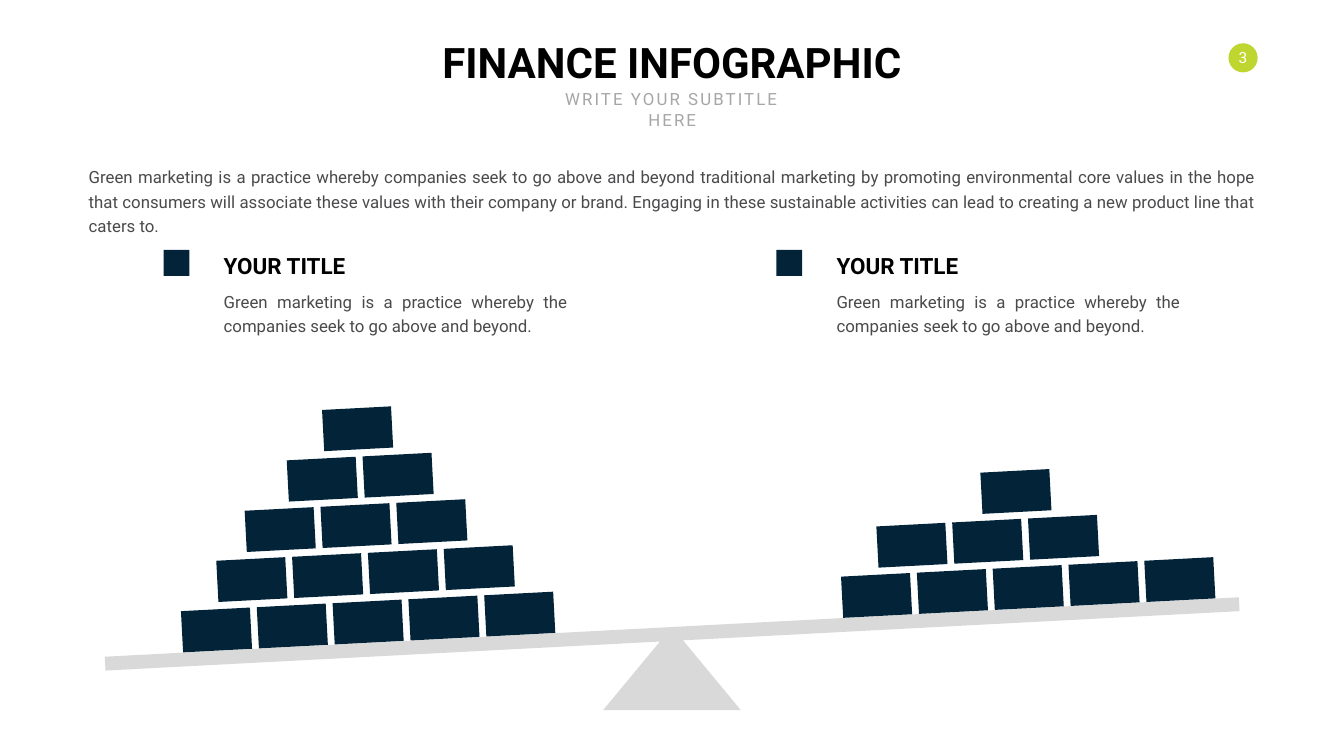
"""Build the finance infographic slide: two brick piles on a tilted seesaw."""
from dataclasses import dataclass
from math import radians, tan

from pptx import Presentation
from pptx.dml.color import RGBColor
from pptx.enum.shapes import MSO_SHAPE
from pptx.enum.text import MSO_ANCHOR, MSO_AUTO_SIZE, PP_ALIGN
from pptx.shapes.autoshape import Shape
from pptx.shapes.shapetree import GroupShapes, SlideShapes
from pptx.util import Cm, Pt

RECTANGLE, OVAL, TRIANGLE = MSO_SHAPE.RECTANGLE, MSO_SHAPE.OVAL, MSO_SHAPE.ISOSCELES_TRIANGLE
LEFT, CENTER, JUSTIFY = PP_ALIGN.LEFT, PP_ALIGN.CENTER, PP_ALIGN.JUSTIFY
TOP, MIDDLE = MSO_ANCHOR.TOP, MSO_ANCHOR.MIDDLE
FIXED_SIZE = MSO_AUTO_SIZE.NONE

NAVY = RGBColor(0x02, 0x23, 0x38)
LIME = RGBColor(0xBE, 0xD6, 0x2F)
SILVER = RGBColor(0xD9, 0xD9, 0xD9)
GRAY = RGBColor(0xA6, 0xA6, 0xA6)
CHARCOAL = RGBColor(0x4A, 0x4A, 0x4C)
BLACK = RGBColor(0x00, 0x00, 0x00)
WHITE = RGBColor(0xFF, 0xFF, 0xFF)

FONT = "Roboto"
TITLE_ONLY = 5
TILT = -3
BRICK_WIDTH, BRICK_HEIGHT, BRICK_STEP = 3.48, 2.08, 3.82
BRICK_RISE = BRICK_STEP * tan(radians(-TILT))
COLUMN_STEP = 30.88

INTRO = (
    "Green marketing is a practice whereby companies seek to go above and beyond "
    "traditional marketing by promoting environmental core values in the hope that "
    "consumers will associate these values with their company or brand. Engaging in "
    "these sustainable activities can lead to creating a new product line that caters to."
)
SUMMARY = "Green marketing is a practice whereby the companies seek to go above and beyond."


@dataclass(frozen=True)
class BrickRow:
    left: float
    top: float
    count: int


LEFT_PILE = [
    BrickRow(9.17, 30.71, 5),
    BrickRow(10.95, 28.17, 4),
    BrickRow(12.38, 25.65, 3),
    BrickRow(14.5, 23.11, 2),
    BrickRow(16.28, 20.57, 1),
]
RIGHT_PILE = [
    BrickRow(42.43, 28.97, 5),
    BrickRow(44.21, 26.44, 3),
    BrickRow(49.45, 23.73, 1),
]


def add_solid(shapes: SlideShapes | GroupShapes, preset: MSO_SHAPE, left: float, top: float,
              width: float, height: float, color: RGBColor, rotation: float = 0) -> Shape:
    """Add a borderless filled shape, measured in centimetres."""
    solid = shapes.add_shape(preset, Cm(left), Cm(top), Cm(width), Cm(height))
    solid.fill.solid()
    solid.fill.fore_color.rgb = color
    solid.line.fill.background()
    solid.shadow.inherit = False
    solid.rotation = rotation
    return solid


def write(box: Shape, text: str, *, size: float, color: RGBColor, bold: bool = False,
          align: PP_ALIGN = LEFT, anchor: MSO_ANCHOR = TOP, wrap: bool = True,
          line_points: float | None = None, tracking: float = 0) -> None:
    """Put one formatted paragraph into a shape."""
    frame = box.text_frame
    frame.word_wrap = wrap
    frame.auto_size = FIXED_SIZE
    frame.vertical_anchor = anchor
    para = frame.paragraphs[0]
    para.alignment = align
    if line_points:
        para.line_spacing = Pt(line_points)
    span = para.add_run()
    span.text = text
    span.font.name = FONT
    span.font.size = Pt(size)
    span.font.bold = bold
    span.font.color.rgb = color
    if tracking:
        span.font._element.set("spc", str(round(tracking * 100)))


def add_text(shapes: SlideShapes, text: str, left: float, top: float, width: float,
             height: float, **text_format) -> None:
    """Add a text box, measured in centimetres."""
    box = shapes.add_textbox(Cm(left), Cm(top), Cm(width), Cm(height))
    write(box, text, **text_format)


def add_pile(shapes: SlideShapes, rows: list[BrickRow]) -> None:
    """Stack tilted rows of bricks in one group."""
    pile = shapes.add_group_shape()
    for row in rows:
        for index in range(row.count):
            add_solid(pile.shapes, RECTANGLE, row.left + index * BRICK_STEP,
                      row.top - index * BRICK_RISE, BRICK_WIDTH, BRICK_HEIGHT, NAVY, TILT)


def add_column(shapes: SlideShapes, left: float) -> None:
    """Add a square marker with its heading and summary."""
    text_left = left + 2.78
    add_solid(shapes, RECTANGLE, left, 12.6, 1.3, 1.3, NAVY)
    add_text(shapes, "YOUR TITLE", text_left, 12.57, 6.81, 1.63,
             size=32, color=BLACK, bold=True, anchor=MIDDLE, wrap=False)
    add_text(shapes, SUMMARY, text_left, 14.35, 17.81, 2.62,
             size=24, color=CHARCOAL, align=JUSTIFY, line_points=35)


def main() -> None:
    """Build and save the deck."""
    deck = Presentation()
    deck.slide_width, deck.slide_height = Cm(67.72), Cm(38.1)
    page = deck.slides.add_slide(deck.slide_layouts[TITLE_ONLY])
    shapes = page.shapes

    badge = add_solid(shapes, OVAL, 61.9, 2.18, 1.47, 1.47, LIME)
    frame = badge.text_frame
    frame.margin_left = frame.margin_right = frame.margin_top = frame.margin_bottom = 0
    write(badge, "3", size=22, color=WHITE, align=CENTER, anchor=MIDDLE, wrap=False)

    seesaw = shapes.add_group_shape()
    add_solid(seesaw.shapes, TRIANGLE, 30.39, 31.6, 6.94, 4.19, SILVER)
    add_solid(seesaw.shapes, RECTANGLE, 5.26, 31.6, 57.22, 0.7, SILVER, TILT)
    for rows in (LEFT_PILE, RIGHT_PILE):
        add_pile(shapes, rows)

    title = shapes.title
    title.left, title.top, title.width, title.height = Cm(21.26), Cm(1.7), Cm(25.2), Cm(2.82)
    write(title, "FINANCE INFOGRAPHIC", size=60, color=BLACK, bold=True, align=CENTER, wrap=False)
    add_text(shapes, "WRITE YOUR SUBTITLE HERE", 26.97, 4.37, 13.8, 1.27,
             size=24, color=GRAY, align=CENTER, tracking=3)
    add_text(shapes, INTRO, 4.22, 8.08, 59.26, 2.62,
             size=24, color=CHARCOAL, align=JUSTIFY, line_points=35)
    for index in range(2):
        add_column(shapes, 8.24 + index * COLUMN_STEP)

    deck.save("out.pptx")


if __name__ == "__main__":
    main()
